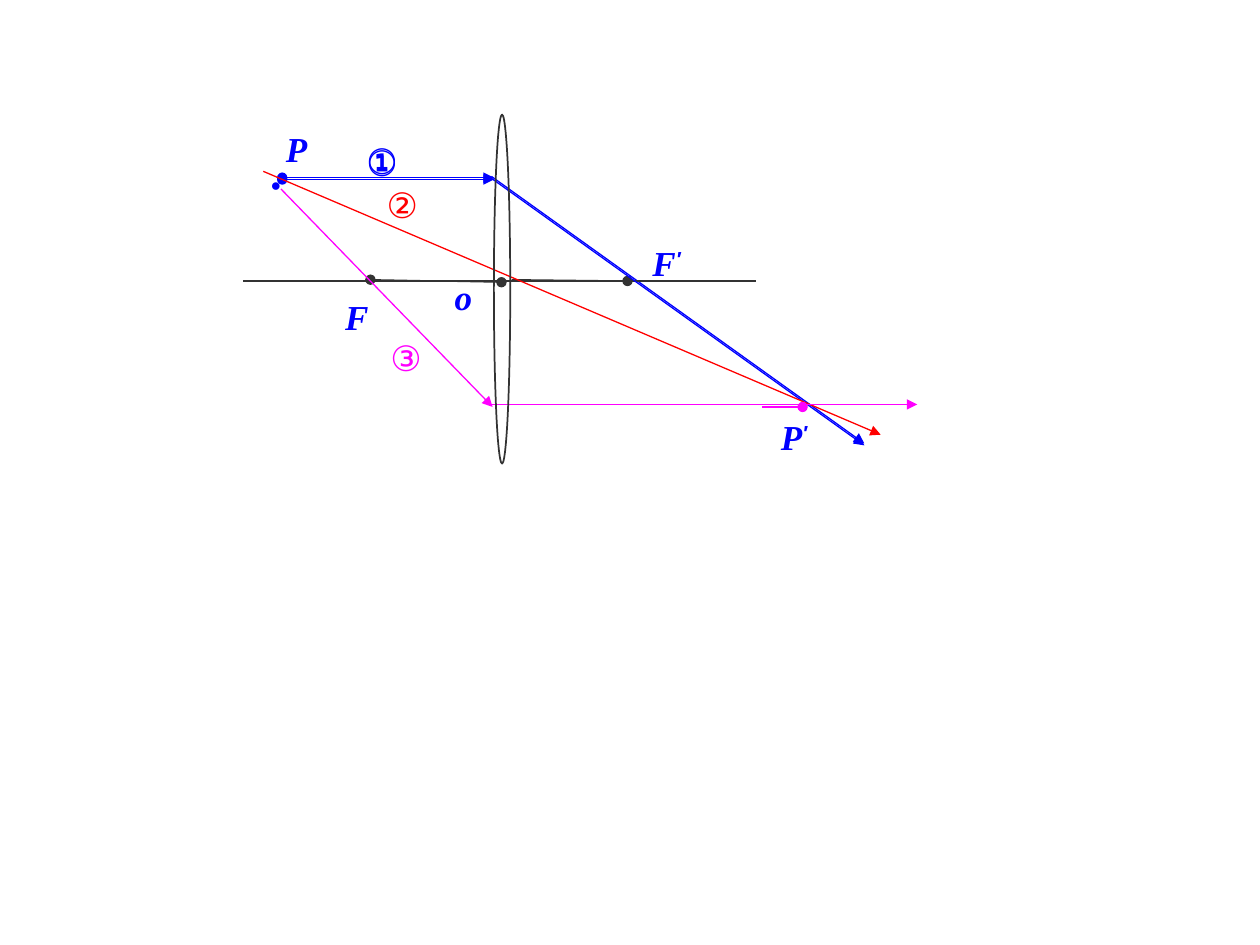
from dataclasses import dataclass

from lxml.etree import SubElement
from pptx import Presentation
from pptx.dml.color import RGBColor
from pptx.enum.shapes import MSO_CONNECTOR, MSO_SHAPE
from pptx.enum.text import MSO_AUTO_SIZE
from pptx.oxml.ns import qn
from pptx.util import Inches, Pt

COLS, ROWS = 100, 75
SLIDE_W, SLIDE_H = Inches(10), Inches(7.5)


@dataclass(frozen=True)
class Theme:
    parallel: str = "0000FF"
    central: str = "FF0000"
    focal: str = "FF00FF"
    axis: str = "333333"
    label_font: str = "Times New Roman"
    mark_font: str = "Arial"
    label_size: int = 20
    dot_size: int = 10
    ray_width: float = 0.75
    lens_width: float = 1


THEME = Theme()


def col(n):
    return round(SLIDE_W * n / COLS)


def row(n):
    return round(SLIDE_H * n / ROWS)


def add_line(grp, start, end, color, head=None, tail=None):
    """Draw a line between two (column, row) points with optional ends."""
    cn = grp.shapes.add_connector(
        MSO_CONNECTOR.STRAIGHT, col(start[0]), row(start[1]), col(end[0]), row(end[1]))
    cn.line.color.rgb = RGBColor.from_string(color)
    cn.line.width = Pt(THEME.ray_width)
    ln = cn.line._get_or_add_ln()
    for tag, kind in (("a:headEnd", head), ("a:tailEnd", tail)):
        if kind:
            SubElement(ln, qn(tag)).set("type", kind)
    SubElement(cn._element.spPr, qn("a:effectLst"))


def add_text(grp, at, size, text):
    tb = grp.shapes.add_textbox(col(at[0]), row(at[1]), col(size[0]), row(size[1]))
    tf = tb.text_frame
    tf.word_wrap = True
    tf.auto_size = MSO_AUTO_SIZE.SHAPE_TO_FIT_TEXT
    p = tf.paragraphs[0]
    p.text = text
    return p


def format_run(r, font, size, color, italic_bold=False):
    r.font.name = font
    r.font.size = Pt(size)
    r.font.color.rgb = RGBColor.from_string(color)
    if italic_bold:
        r.font.bold = r.font.italic = True


def add_mark(grp, at, text, color, width=5.5, height=4.4, size=THEME.label_size):
    """Add a ray number or a dot set as text."""
    p = add_text(grp, at, (width, height), text)
    format_run(p.runs[0], THEME.mark_font, size, color)


def add_point_label(grp, at, letter, prime=False):
    p = add_text(grp, at, (6.3, 4.4), letter)
    format_run(p.runs[0], THEME.label_font, THEME.label_size, THEME.parallel, True)
    if prime:
        r = p.add_run()
        r.text = "′"
        format_run(r, THEME.mark_font, THEME.label_size, THEME.parallel, True)
        r.font._element.set("baseline", "30000")


def add_parallel_ray(grp, shift):
    """Ray 1: parallel to the axis, then through the far focus."""
    color = THEME.parallel
    add_line(grp, (22.4, 14.1 + shift), (39.2, 14.1 + shift), color, "oval", "triangle")
    add_line(grp, (39, 14 + shift), (68.6, 35.2 + shift), color, tail="triangle")
    add_mark(grp, (28.1, 10.6 + shift), "①", color, width=6.3)


def add_axis(grp):
    add_line(grp, (19.3, 22.3), (60, 22.3), THEME.axis)
    add_line(grp, (29.4, 22.2), (39.8, 22.4), THEME.axis, "oval", "oval")
    add_line(grp, (40.6, 22.2), (49.8, 22.3), THEME.axis, tail="oval")


def add_central_ray(grp):
    add_line(grp, (20.9, 13.6), (69.9, 34.5), THEME.central, tail="triangle")
    add_mark(grp, (29.7, 14.1), "②", THEME.central)


def add_focal_ray(grp):
    """Ray 3: through the near focus, then parallel to the axis."""
    add_line(grp, (38.7, 32.1), (72.8, 32.1), THEME.focal, tail="triangle")
    add_line(grp, (22.3, 15), (39.1, 32.3), THEME.focal, tail="triangle")
    add_mark(grp, (30, 26.2), "③", THEME.focal)
    add_line(grp, (60.5, 32.3), (63.7, 32.3), THEME.focal, tail="oval")


def add_lens(grp):
    sp = grp.shapes.add_shape(MSO_SHAPE.OVAL, col(39.2), row(9.1), col(1.3), row(27.7))
    sp.shadow.inherit = False
    sp.fill.background()
    sp.line.color.rgb = RGBColor.from_string(THEME.axis)
    sp.line.width = Pt(THEME.lens_width)


def main():
    prs = Presentation()
    prs.slide_width, prs.slide_height = SLIDE_W, SLIDE_H
    s = prs.slides.add_slide(prs.slide_layouts[6])
    grp = s.shapes.add_group_shape()

    add_parallel_ray(grp, 0)
    add_axis(grp)
    add_mark(grp, (20.5, 13.3), "●", THEME.parallel, 4.7, 2.7, THEME.dot_size)
    add_parallel_ray(grp, 0.15)
    add_central_ray(grp)
    add_focal_ray(grp)
    for at, letter, prime in (
        ((21.7, 9.6), "P", False),
        ((61, 32.5), "P", True),
        ((26.4, 23), "F", False),
        ((50.8, 18.7), "F", True),
        ((35.1, 21.4), "o", False),
    ):
        add_point_label(grp, at, letter, prime)
    add_lens(grp)
    prs.save("out.pptx")


if __name__ == "__main__":
    main()
